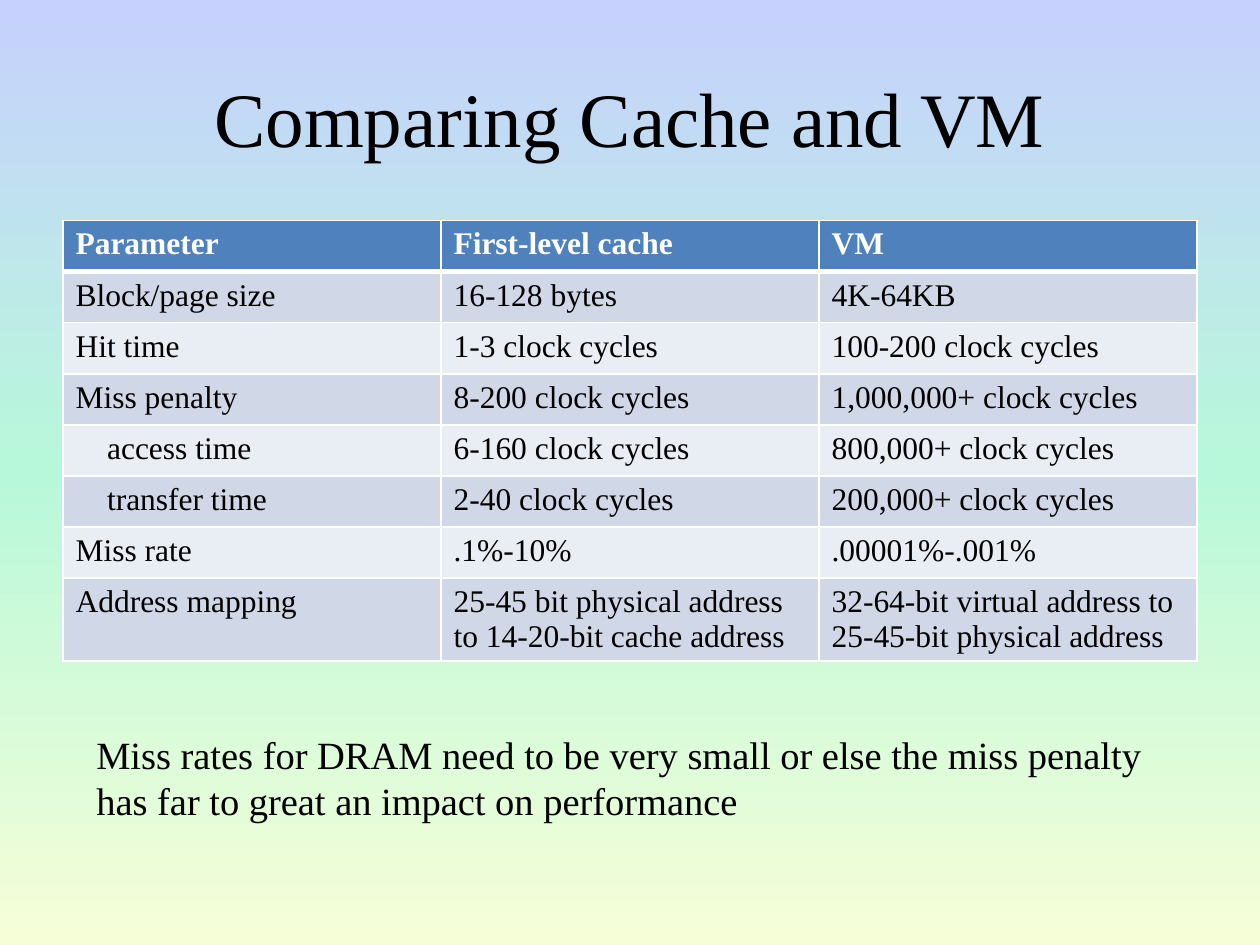
from copy import deepcopy
from typing import NamedTuple

from lxml import etree
from pptx import Presentation
from pptx.dml.color import RGBColor
from pptx.enum.text import MSO_ANCHOR, PP_ALIGN
from pptx.oxml.ns import qn
from pptx.util import Pt

CENTER, LEFT = PP_ALIGN.CENTER, PP_ALIGN.LEFT
MIDDLE = MSO_ANCHOR.MIDDLE
FONT = "Times New Roman"
BLACK, WHITE = "000000", "FFFFFF"
HEADER_FILL, BAND_FILLS = "4F81BD", ("D0D8E8", "E9EDF4")
BACKGROUND = ((0, "C6D1FE"), (0.5, "B8F8DA"), (1, "F6FED8"))
COL_W, ROW_H, LAST_ROW_H = 216, 29.2, 47.4
CELL_MARGIN, SUB_INDENT = 7.2, 18


class Row(NamedTuple):
    parameter: str
    cache: str
    vm: str
    indent: float = 0


ROWS = (
    Row("Parameter", "First-level cache", "VM"),
    Row("Block/page size", "16-128 bytes", "4K-64KB"),
    Row("Hit time", "1-3 clock cycles", "100-200 clock cycles"),
    Row("Miss penalty", "8-200 clock cycles", "1,000,000+ clock cycles"),
    Row("access time", "6-160 clock cycles", "800,000+ clock cycles", SUB_INDENT),
    Row("transfer time", "2-40 clock cycles", "200,000+ clock cycles", SUB_INDENT),
    Row("Miss rate", ".1%-10%", ".00001%-.001%"),
    Row("Address mapping",
        "25-45 bit physical address\nto 14-20-bit cache address",
        "32-64-bit virtual address to 25-45-bit physical address"),
)


def rgb(color: str) -> RGBColor:
    return RGBColor.from_string(color)


def write(tf, text: str, *, size: float, color: str = BLACK,
          bold: bool = False, align=LEFT) -> None:
    """Fill a text frame, one paragraph for each line of text."""
    for i, line in enumerate(text.split("\n")):
        p = tf.add_paragraph() if i else tf.paragraphs[0]
        p.alignment = align
        r = p.add_run()
        r.text = line
        r.font.name, r.font.size, r.font.bold = FONT, Pt(size), bold
        r.font.color.rgb = rgb(color)


def set_background(s) -> None:
    fill = s.background.fill
    fill.gradient()
    fill.gradient_angle = 270
    stops = s.element.find(".//" + qn("a:gsLst"))
    stops.append(deepcopy(stops[0]))
    for stop, (position, color) in zip(fill.gradient_stops, BACKGROUND):
        stop.position = position
        stop.color.rgb = rgb(color)


def set_borders(cell, bottom: float, top: float) -> None:
    tc_pr = cell._tc.get_or_add_tcPr()
    sides = (("a:lnL", 1), ("a:lnR", 1), ("a:lnT", top), ("a:lnB", bottom))
    for i, (tag, width) in enumerate(sides):
        ln = etree.Element(qn(tag), w=str(Pt(width)))
        solid = etree.SubElement(ln, qn("a:solidFill"))
        etree.SubElement(solid, qn("a:srgbClr"), val=WHITE)
        tc_pr.insert(i, ln)


def add_comparison(s, rows: tuple[Row, ...]) -> None:
    height = ROW_H * (len(rows) - 1) + LAST_ROW_H
    table = s.shapes.add_table(len(rows), 3, Pt(36), Pt(126),
                               Pt(3 * COL_W), Pt(height)).table
    for column in table.columns:
        column.width = Pt(COL_W)
    for i, row in enumerate(rows):
        header = i == 0
        table.rows[i].height = Pt(LAST_ROW_H if row is rows[-1] else ROW_H)
        for j, text in enumerate(row[:3]):
            cell = table.cell(i, j)
            cell.fill.solid()
            cell.fill.fore_color.rgb = rgb(
                HEADER_FILL if header else BAND_FILLS[(i - 1) % 2])
            cell.margin_left = Pt(CELL_MARGIN + (row.indent if j == 0 else 0))
            write(cell.text_frame, text, size=18, bold=header,
                  color=WHITE if header else BLACK)
            set_borders(cell, bottom=3 if header else 1, top=3 if i == 1 else 1)


def main() -> None:
    prs = Presentation()
    prs.slide_width, prs.slide_height = Pt(720), Pt(540)
    s = prs.slides.add_slide(prs.slide_layouts[5])
    set_background(s)

    # Title
    sp = s.shapes.title
    sp.left, sp.top, sp.width, sp.height = Pt(36), Pt(21.6), Pt(648), Pt(90)
    sp.text_frame.vertical_anchor = MIDDLE
    write(sp.text_frame, "Comparing Cache and VM", size=44, align=CENTER)

    # Comparison table
    add_comparison(s, ROWS)

    # Remark below the table
    sp = s.shapes.add_textbox(Pt(48), Pt(414), Pt(624), Pt(60.5))
    sp.text_frame.word_wrap = False
    write(sp.text_frame,
          "Miss rates for DRAM need to be very small or else the miss penalty\n"
          "has far to great an impact on performance", size=22)

    prs.save("out.pptx")


if __name__ == "__main__":
    main()
